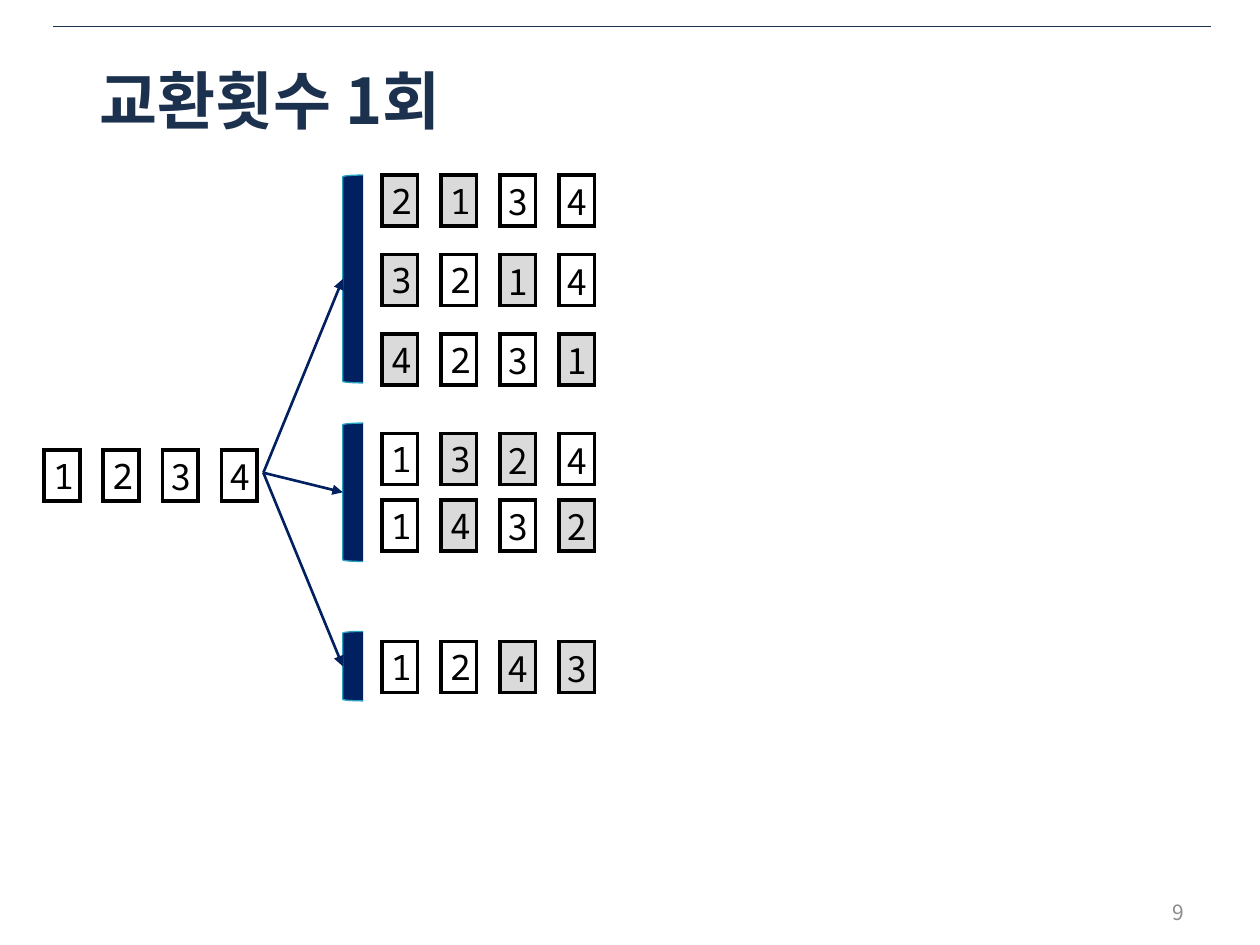
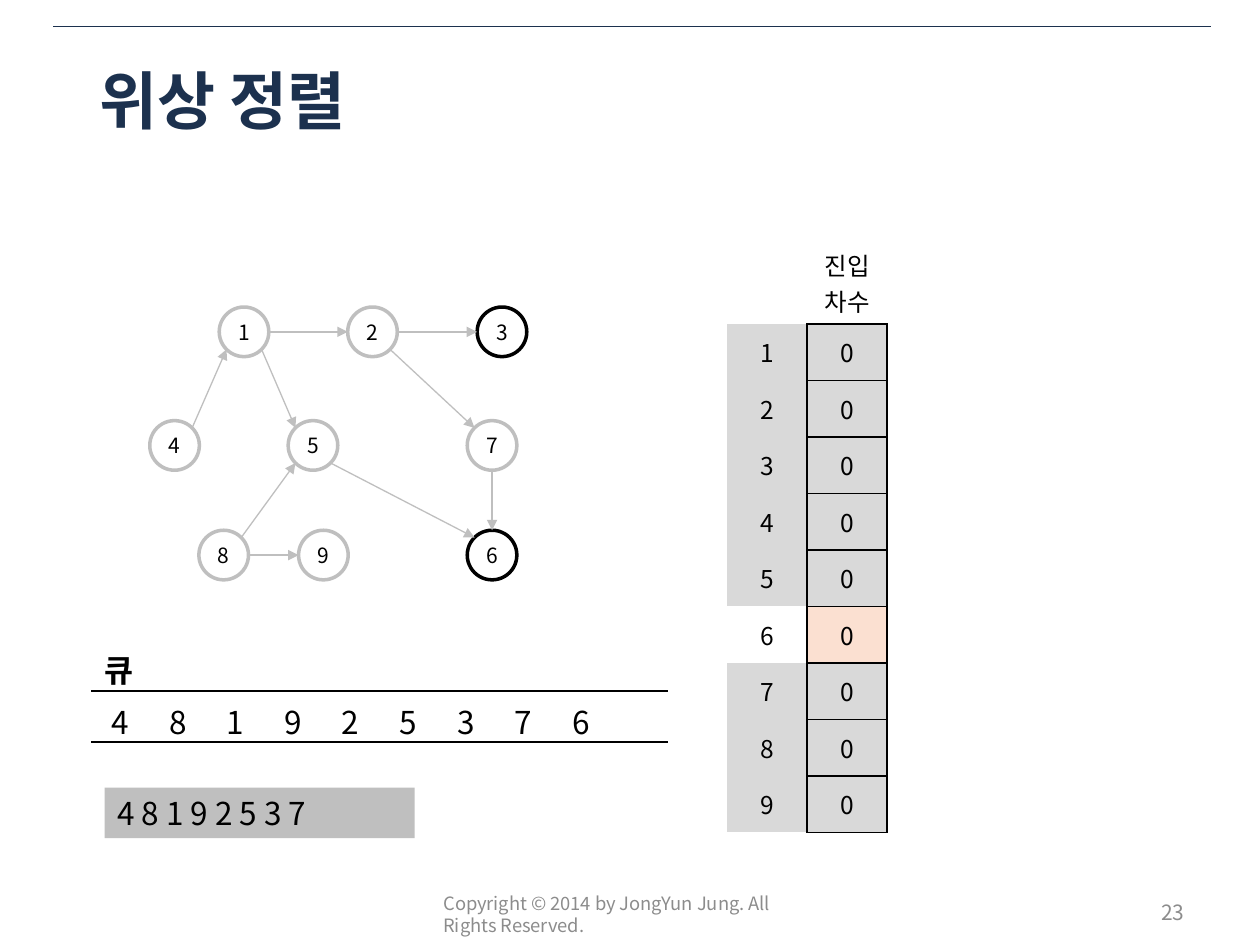
"""Build two slides: single swaps of a list and a topological sort."""
import dataclasses
import itertools

import lxml.etree
import pptx
import pptx.dml.color
import pptx.enum.shapes
import pptx.enum.text
import pptx.oxml.ns
import pptx.util

Cm = pptx.util.Cm
Pt = pptx.util.Pt
qn = pptx.oxml.ns.qn
Shape = pptx.enum.shapes.MSO_SHAPE
Align = pptx.enum.text.PP_ALIGN
Anchor = pptx.enum.text.MSO_ANCHOR


@dataclasses.dataclass(frozen=True)
class Theme:
    sans: str = "Noto Sans CJK KR"
    mono: str = "Noto Sans Mono"
    black: str = "000000"
    white: str = "FFFFFF"
    title: str = "1C314E"
    muted: str = "8C8C8C"
    navy: str = "002060"
    teal: str = "28A1BE"
    silver: str = "BFBFBF"
    swap: str = "DADADA"
    done: str = "D9D9D9"
    peach: str = "FBE0D1"
    head: float = 36
    digit: float = 20
    queue: float = 18
    body: float = 14
    small: float = 12
    legal: float = 10.5


THEME = Theme()


def tint(code):
    return pptx.dml.color.RGBColor.from_string(code)


def write(frame, text, size=THEME.small, font=THEME.sans, color=THEME.black,
          bold=False, align=Align.LEFT):
    para = frame.paragraphs[0]
    para.alignment = align
    run = para.add_run()
    run.text = text
    run.font.size = Pt(size)
    run.font.bold = bold
    run.font.color.rgb = tint(color)
    run.font.name = font
    lxml.etree.SubElement(run._r.get_or_add_rPr(), qn("a:ea"), typeface=font)


class Deck:
    def __init__(self, theme):
        self.theme = theme
        self.file = pptx.Presentation()
        self.file.slide_width = Cm(25.4)
        self.file.slide_height = Cm(19.05)
        self.slide = None

    def start(self, title, number):
        look = self.theme
        self.slide = self.file.slides.add_slide(self.file.slide_layouts[5])
        self.line((1.07, 0.53), (24.41, 0.53), look.title, 0.25)
        head = self.slide.shapes.title
        head.left, head.top = Cm(1.75), Cm(1.02)
        head.width, head.height = Cm(21.89), Cm(1.98)
        head.text_frame.vertical_anchor = Anchor.MIDDLE
        write(head.text_frame, title, size=look.head, color=look.title, bold=True)
        self.label(18.21, 17.88, 5.92, 1.02, number,
                   color=look.muted, align=Align.RIGHT)

    def label(self, left, top, width, height, text, **form):
        box = self.slide.shapes.add_textbox(Cm(left), Cm(top), Cm(width), Cm(height))
        box.text_frame.word_wrap = True
        box.text_frame.vertical_anchor = Anchor.MIDDLE
        write(box.text_frame, text, **form)

    def line(self, start, end, color, width, arrow=False):
        link = self.slide.shapes.add_connector(
            pptx.enum.shapes.MSO_CONNECTOR.STRAIGHT, *map(Cm, start + end))
        link.line.color.rgb = tint(color)
        link.line.width = Pt(width)
        if arrow:
            lxml.etree.SubElement(link.line._get_or_add_ln(), qn("a:tailEnd"),
                                  type="triangle")
        lxml.etree.SubElement(link._element.spPr, qn("a:effectLst"))

    def shape(self, kind, left, top, width, height, fill=None, edge=None, weight=1):
        item = self.slide.shapes.add_shape(
            kind, Cm(left), Cm(top), Cm(width), Cm(height))
        item.shadow.inherit = False
        if fill:
            item.fill.solid()
            item.fill.fore_color.rgb = tint(fill)
        else:
            item.fill.background()
        if edge:
            item.line.color.rgb = tint(edge)
            item.line.width = Pt(weight)
        else:
            item.line.fill.background()
        item.text_frame.vertical_anchor = Anchor.MIDDLE
        return item

    def node(self, center, size, text, edge):
        left, top = (spot - size / 2 for spot in center)
        frame = self.shape(Shape.OVAL, left, top, size, size,
                           edge=edge, weight=2).text_frame
        frame.margin_left = frame.margin_right = 0
        frame.margin_top = frame.margin_bottom = 0
        write(frame, text, align=Align.CENTER)

    def table(self, left, top, cols, rows):
        grid = self.slide.shapes.add_table(
            len(rows), len(cols), Cm(left), Cm(top), Cm(sum(cols)), Cm(sum(rows))).table
        grid.first_row = grid.horz_banding = False
        for col, width in zip(grid.columns, cols):
            col.width = Cm(width)
        for row, height in zip(grid.rows, rows):
            row.height = Cm(height)
        return grid

    def cell(self, cell, text="", fill=None, edges=None, weight=1, pad=None,
             anchor=Anchor.MIDDLE, **form):
        if pad:
            (cell.margin_left, cell.margin_top,
             cell.margin_right, cell.margin_bottom) = map(Cm, pad)
        cell.vertical_anchor = anchor
        edges = edges or {}
        props = cell._tc.get_or_add_tcPr()
        for side in "LRTB":
            rule = lxml.etree.SubElement(props, qn("a:ln" + side), w=str(Pt(weight)))
            if side in edges:
                paint = lxml.etree.SubElement(rule, qn("a:solidFill"))
                lxml.etree.SubElement(paint, qn("a:srgbClr"), val=edges[side])
            else:
                lxml.etree.SubElement(rule, qn("a:noFill"))
        if fill:
            cell.fill.solid()
            cell.fill.fore_color.rgb = tint(fill)
        else:
            cell.fill.background()
        if text:
            write(cell.text_frame, text, **form)


def draw_list(deck, left, top, items, marked=()):
    look = deck.theme
    grid = deck.table(left, top, [0.72, 0.47] * 3 + [0.72], [1.03])
    for col in range(7):
        spot, gap = divmod(col, 2)
        deck.cell(grid.cell(0, col), "" if gap else str(items[spot]),
                  fill=look.swap if not gap and spot in marked else None,
                  edges=dict.fromkeys("LR" if gap else "LRTB", look.black),
                  weight=2.25, pad=(0.18, 0, 0.18, 0), size=look.digit,
                  font=look.mono if spot < 2 else look.sans, align=Align.CENTER)


def swap_slide(deck):
    look = deck.theme
    deck.start("교환횟수 1회", "9")
    base = [1, 2, 3, 4]
    draw_list(deck, 0.89, 9.07, base)
    tops = [3.53, 5.13, 6.73, 8.74, 10.08, 12.93]
    for top, pair in zip(tops, itertools.combinations(range(4), 2)):
        items = base.copy()
        one, two = pair
        items[one], items[two] = items[two], items[one]
        draw_list(deck, 7.7, top, items, pair)
    groups = [(3.53, 4.19), (8.53, 2.79), (12.73, 1.4)]
    for top, height in groups:
        deck.shape(Shape.LEFT_BRACKET, 6.91, top, 0.41, height,
                   fill=look.navy, edge=look.teal, weight=0.75)
    for top, height in groups:
        deck.line((5.31, 9.53), (6.91, top + height / 2), look.navy, 1.5, arrow=True)


def draw_graph(deck):
    look = deck.theme
    size = 1
    rows = {6.69: {1: 4.92, 2: 7.51, 3: 10.12},
            8.98: {4: 3.52, 5: 6.31, 7: 9.92},
            11.19: {8: 4.51, 9: 6.52, 6: 9.92}}
    nodes = {key: (x, y) for y, row in rows.items() for key, x in row.items()}
    for key, center in nodes.items():
        deck.node(center, size, str(key), look.black if key in (3, 6) else look.silver)
    slant = 0.5 ** 0.5
    ports = {"E": (1, 0), "W": (-1, 0), "N": (0, -1), "S": (0, 1),
             "NE": (slant, -slant), "NW": (-slant, -slant),
             "SE": (slant, slant), "SW": (-slant, slant)}

    def port(key, side):
        return tuple(mid + size / 2 * step for mid, step in zip(nodes[key], ports[side]))

    edges = [(1, "E", 2, "W"), (2, "E", 3, "W"), (4, "NE", 1, "SW"),
             (1, "SE", 5, "NW"), (2, "SE", 7, "NW"), (8, "NE", 5, "SW"),
             (8, "E", 9, "W"), (5, "SE", 6, "NW"), (7, "S", 6, "N")]
    for tail, out, tip, into in edges:
        deck.line(port(tail, out), port(tip, into), look.silver, 0.75, arrow=True)


def draw_counts(deck):
    look = deck.theme
    form = {"size": look.body, "align": Align.CENTER}
    grid = deck.table(14.66, 4.85, [1.61] * 2, [1.68] + [1.14] * 9)
    deck.cell(grid.cell(0, 0))
    deck.cell(grid.cell(0, 1), "진입차수", edges={"B": look.black}, **form)
    for row in range(1, 10):
        now = row == 6
        deck.cell(grid.cell(row, 0), str(row), fill=None if now else look.done,
                  edges={"R": look.black}, **form)
        deck.cell(grid.cell(row, 1), "0", fill=look.peach if now else look.done,
                  edges=dict.fromkeys("LRTB", look.black), **form)


def draw_queue(deck):
    look = deck.theme
    order = "481925376"
    grid = deck.table(1.85, 12.9, [1.16] * 10, [1.03] * 2)
    sides = {"L": look.white, "R": look.white, "B": look.black}
    form = {"pad": (0.25, 0.13, 0.25, 0), "anchor": Anchor.TOP, "size": look.queue}
    for col in range(10):
        deck.cell(grid.cell(0, col), "" if col else "큐", edges=sides, bold=True, **form)
        deck.cell(grid.cell(1, col), order[col:col + 1],
                  edges={**sides, "T": look.black}, align=Align.CENTER, **form)
    strip = deck.shape(Shape.RECTANGLE, 2.11, 15.88, 6.25, 1.02, fill=look.silver)
    strip.text_frame.word_wrap = False
    write(strip.text_frame, " ".join(order[:-1]), size=look.queue)


def sort_slide(deck):
    look = deck.theme
    deck.start("위상 정렬", "23")
    deck.label(8.69, 17.91, 8.05, 1.02,
               "Copyright © 2014 by JongYun Jung. All Rights Reserved.",
               size=look.legal, color=look.muted)
    draw_graph(deck)
    draw_counts(deck)
    draw_queue(deck)


def main():
    deck = Deck(THEME)
    swap_slide(deck)
    sort_slide(deck)
    deck.file.save("out.pptx")


if __name__ == "__main__":
    main()
